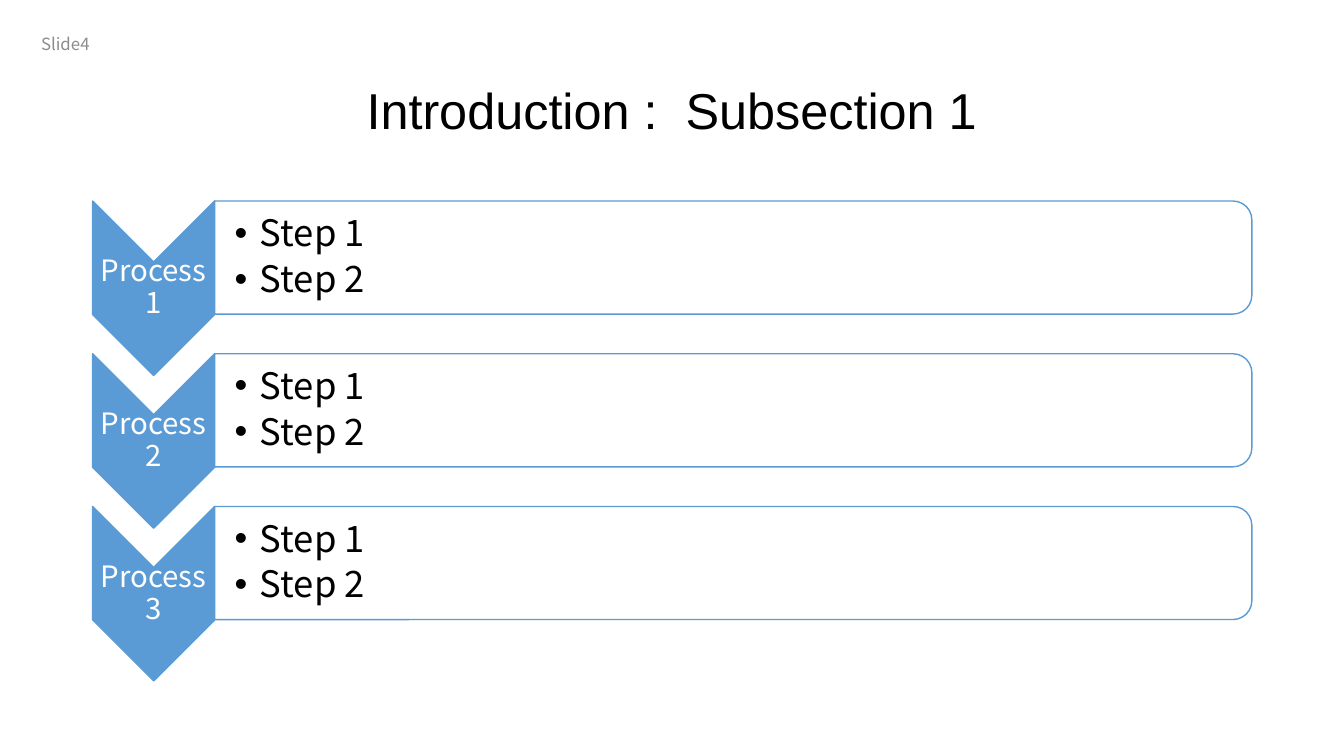
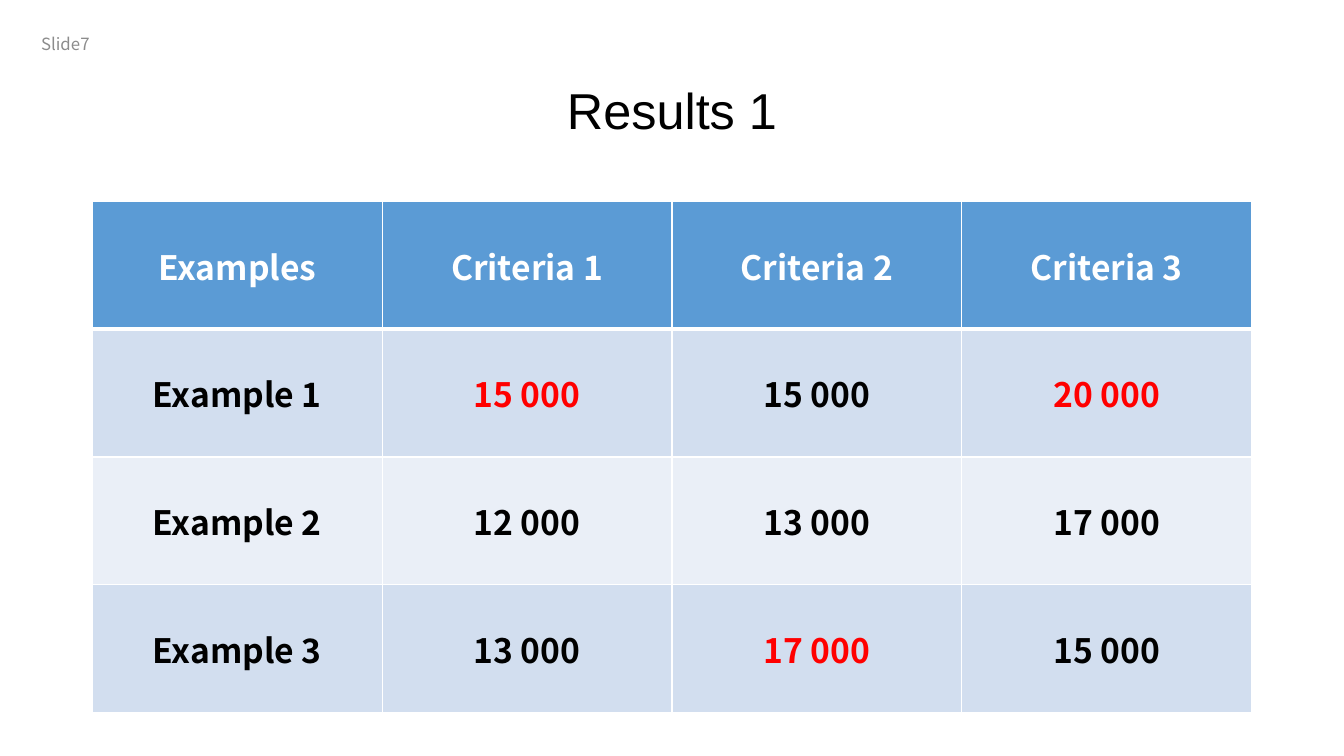
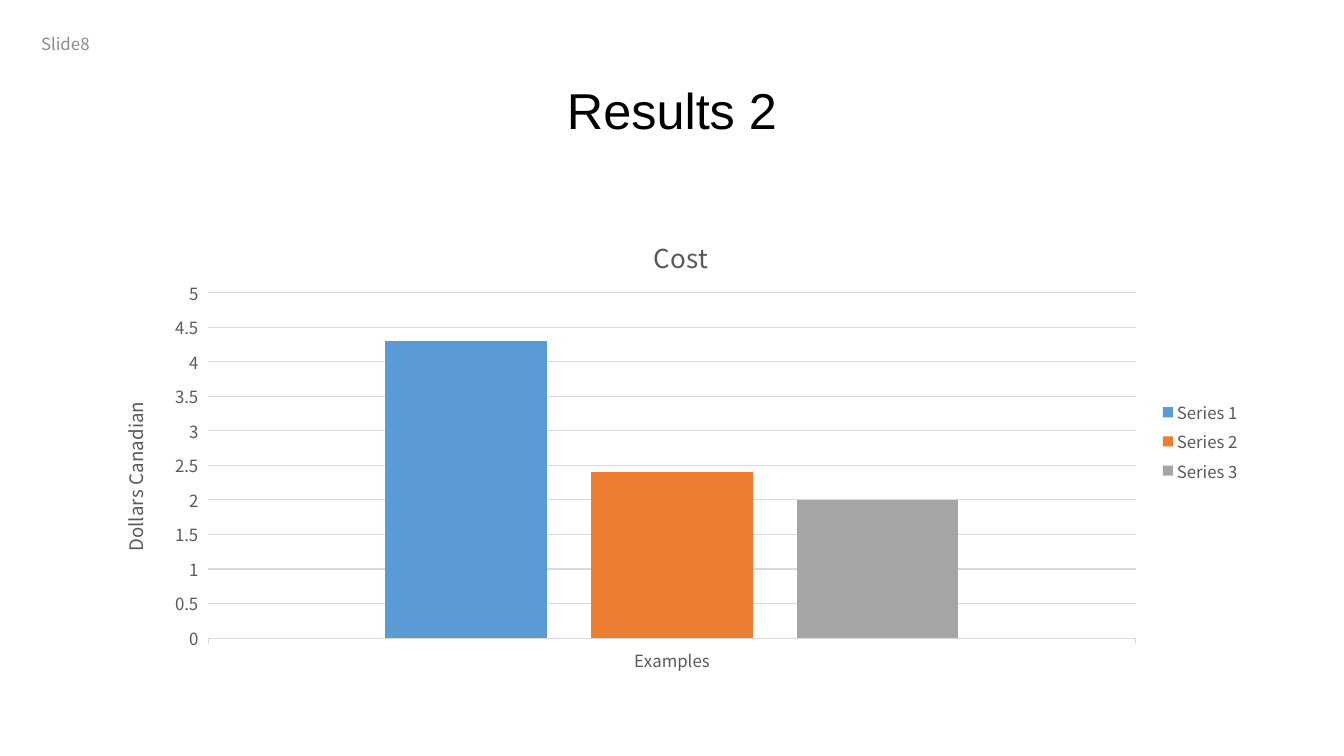
from dataclasses import dataclass

from lxml import etree
from pptx import Presentation
from pptx.chart.data import CategoryChartData
from pptx.dml.color import RGBColor
from pptx.enum.chart import XL_CHART_TYPE, XL_LEGEND_POSITION, XL_TICK_MARK
from pptx.enum.shapes import MSO_SHAPE
from pptx.enum.text import MSO_ANCHOR, MSO_AUTO_SIZE, PP_ALIGN
from pptx.oxml.ns import qn
from pptx.util import Pt

CHEVRON = MSO_SHAPE.CHEVRON
ROUND_TOP = MSO_SHAPE.ROUND_2_SAME_RECTANGLE
LEFT, CENTER = PP_ALIGN.LEFT, PP_ALIGN.CENTER
TOP, MIDDLE = MSO_ANCHOR.TOP, MSO_ANCHOR.MIDDLE
NO_FIT = MSO_AUTO_SIZE.NONE
COLUMNS = XL_CHART_TYPE.COLUMN_CLUSTERED
LEGEND_RIGHT = XL_LEGEND_POSITION.RIGHT
TICK_OUT = XL_TICK_MARK.OUTSIDE


@dataclass(frozen=True)
class Theme:
    """Colours, fonts and type sizes of the deck."""
    heading: str = "Arial"
    body: str = "Noto Sans CJK SC"
    black: str = "000000"
    white: str = "FFFFFF"
    grey: str = "8C8C8C"
    blue: str = "5B9BD5"
    red: str = "FF0000"
    bands: tuple = ("D2DEEF", "EAEFF7")
    series: tuple = ("5B9BD5", "ED7D31", "A5A5A5")
    chart_text: str = "595959"
    chart_line: str = "D9D9D9"
    title_size: float = 36
    label_size: float = 21
    step_size: float = 26
    table_size: float = 24
    small_size: float = 12
    chart_title_size: float = 18.6
    axis_title_size: float = 13.3


def apply(target, formats):
    """Set each attribute in formats on target."""
    for name, value in formats.items():
        setattr(target, name, value)


def style_font(font, name, size, color, bold=False):
    """Give a font its face, size, colour and weight."""
    apply(font, {"name": name, "size": Pt(size), "bold": bold})
    font.color.rgb = RGBColor.from_string(color)


def paint(fill, color):
    """Make a fill solid."""
    fill.solid()
    fill.fore_color.rgb = RGBColor.from_string(color)


def draw_line(line, color, width):
    """Give a line its colour and width."""
    paint(line.fill, color)
    line.width = Pt(width)


def place(parent, **fractions):
    """Fix the place of a chart part as fractions of the chart."""
    for old in parent.findall(qn("c:layout")):
        parent.remove(old)
    layout = etree.Element(qn("c:layout"))
    manual = etree.SubElement(layout, qn("c:manualLayout"))
    if "w" in fractions:
        etree.SubElement(manual, qn("c:layoutTarget")).set("val", "inner")
    for axis in "xy":
        etree.SubElement(manual, qn(f"c:{axis}Mode")).set("val", "edge")
    for name, value in fractions.items():
        etree.SubElement(manual, qn(f"c:{name}")).set("val", str(value))
    parent.insert(len(parent.findall(qn("c:tx"))), layout)


class Deck:
    """Builds pages in one style."""

    def __init__(self, theme):
        """Start an empty widescreen deck."""
        self.theme = theme
        self.deck = Presentation()
        apply(self.deck, {"slide_width": Pt(960), "slide_height": Pt(540)})
        self.page = None

    def add_page(self, number, title):
        """Add a page with its title and page mark."""
        theme = self.theme
        self.page = self.deck.slides.add_slide(self.deck.slide_layouts[5])
        box = self.page.shapes.title
        apply(box, {"left": Pt(66), "top": Pt(28.8),
                    "width": Pt(828), "height": Pt(104.4)})
        self.fill_text(box.text_frame, [title], theme.heading, theme.title_size,
                       theme.black, align=CENTER, line_spacing=0.9)
        mark = (theme.body, theme.small_size, theme.grey)
        self.add_text(22.3, 20.2, 64, 21.6, ["Slide"], *mark, anchor=TOP)
        self.add_text(50.4, 16.6, 56.9, 28.8, [str(number)], *mark)

    def fill_text(self, frame, lines, font, size, color, align=LEFT,
                  anchor=MIDDLE, inset=(7.2, 3.6), line_spacing=1.0, after=0):
        """Write lines as paragraphs; inset is left, then the other sides."""
        side, rest = inset
        right = side if inset == (7.2, 3.6) else rest
        apply(frame, {"word_wrap": True, "auto_size": NO_FIT,
                      "vertical_anchor": anchor,
                      "margin_left": Pt(side), "margin_right": Pt(right),
                      "margin_top": Pt(rest), "margin_bottom": Pt(rest)})
        for index, line in enumerate(lines):
            para = frame.add_paragraph() if index else frame.paragraphs[0]
            apply(para, {"alignment": align, "line_spacing": line_spacing,
                         "space_before": Pt(0), "space_after": Pt(after)})
            span = para.add_run()
            span.text = line
            style_font(span.font, font, size, color)

    def add_text(self, left, top, width, height, lines, *style, **options):
        """Add a text box."""
        box = self.page.shapes.add_textbox(Pt(left), Pt(top), Pt(width), Pt(height))
        self.fill_text(box.text_frame, lines, *style, **options)
        return box

    def add_bullets(self, left, top, width, height, lines, *style, **options):
        """Add a text box with bulleted paragraphs."""
        box = self.add_text(left, top, width, height, lines, *style, **options)
        for para in box.text_frame.paragraphs:
            format_node = para._p.get_or_add_pPr()
            format_node.set("marL", str(Pt(18)))
            format_node.set("indent", str(Pt(-18)))
            etree.SubElement(format_node, qn("a:buFont")).set("typeface", "Arial")
            etree.SubElement(format_node, qn("a:buChar")).set("char", "•")

    def add_turned(self, kind, left, top, width, height, fill):
        """Add a shape turned a quarter clockwise to cover the given area."""
        shape = self.page.shapes.add_shape(
            kind, Pt(left + (width - height) / 2), Pt(top + (height - width) / 2),
            Pt(height), Pt(width))
        shape.rotation = 90
        shape.shadow.inherit = False
        paint(shape.fill, fill)
        draw_line(shape.line, self.theme.blue, 1)

    def add_process(self, top, label, steps):
        """Add a chevron with its label and a panel of steps."""
        theme = self.theme
        self.add_turned(CHEVRON, 66.2, top, 87.1, 124.6, theme.blue)
        self.add_text(66.2, top + 43.5, 87.1, 37.5, [label], theme.body,
                      theme.label_size, theme.white, align=CENTER,
                      inset=(0.9, 0.9), line_spacing=0.9, after=8.8)
        self.add_turned(ROUND_TOP, 153.3, top, 740.9, 80.8, theme.white)
        self.add_bullets(153.3, top + 4, 737, 73, steps, theme.body,
                         theme.step_size, theme.black, inset=(14.4, 1.3),
                         line_spacing=0.9, after=4.7)

    def add_borders(self, cell, top, bottom):
        """Draw the four white borders of a cell."""
        widths = {"lnL": 1, "lnR": 1, "lnT": top, "lnB": bottom}
        for name, width in widths.items():
            border = etree.SubElement(cell._tc.get_or_add_tcPr(), qn(f"a:{name}"))
            border.set("w", str(Pt(width)))
            fill = etree.SubElement(border, qn("a:solidFill"))
            etree.SubElement(fill, qn("a:srgbClr")).set("val", self.theme.white)

    def add_table(self, left, top, width, height, rows):
        """Add a table that marks the highest value of each column."""
        theme = self.theme
        table = self.page.shapes.add_table(
            len(rows), len(rows[0]), Pt(left), Pt(top), Pt(width), Pt(height)).table
        table.horz_banding = False
        highest = [max(column[1:]) for column in zip(*rows)]
        for r, row in enumerate(rows):
            for c, text in enumerate(row):
                cell = table.cell(r, c)
                self.add_borders(cell, 3 if r == 1 else 1, 3 if r == 0 else 1)
                paint(cell.fill, theme.bands[(r - 1) % 2] if r else theme.blue)
                cell.vertical_anchor = MIDDLE
                para = cell.text_frame.paragraphs[0]
                para.alignment = CENTER
                span = para.add_run()
                span.text = text
                color = theme.black if r else theme.white
                if r and c and text == highest[c]:
                    color = theme.red
                style_font(span.font, theme.body, theme.table_size, color, True)

    def add_chart_title(self, owner, title, text, size, x, y):
        """Write and place a title of the chart or of an axis."""
        owner.has_title = True
        title = getattr(owner, title)
        span = title.text_frame.paragraphs[0].add_run()
        span.text = text
        style_font(span.font, self.theme.body, size, self.theme.chart_text)
        place(title.element, x=x, y=y)
        return title

    def add_columns(self, left, top, width, height, categories, series):
        """Add a column chart with titles and a legend."""
        theme = self.theme
        data = CategoryChartData()
        data.categories = categories
        for name, values in series.items():
            data.add_series(name, values)
        chart = self.page.shapes.add_chart(
            COLUMNS, Pt(left), Pt(top), Pt(width), Pt(height), data).chart
        style_font(chart.font, theme.body, theme.small_size, theme.chart_text)
        plot = chart.plots[0]
        apply(plot, {"gap_width": 219, "overlap": -27, "vary_by_categories": False})
        for item, color in zip(plot.series, theme.series):
            paint(item.format.fill, color)
        chart.has_legend = True
        apply(chart.legend, {"position": LEGEND_RIGHT, "include_in_layout": False})
        value_axis = chart.value_axis
        apply(value_axis, {"minimum_scale": 0, "maximum_scale": 5,
                           "major_unit": 0.5, "major_tick_mark": TICK_OUT})
        value_axis.format.line.fill.background()
        draw_line(value_axis.major_gridlines.format.line, theme.chart_line, 0.75)
        chart.category_axis.major_tick_mark = TICK_OUT
        draw_line(chart.category_axis.format.line, theme.chart_line, 0.75)
        self.add_chart_title(chart, "chart_title", "Cost",
                             theme.chart_title_size, 0.48, 0.06)
        title = self.add_chart_title(value_axis, "axis_title", "Dollars Canadian",
                                     theme.axis_title_size, 0.02, 0.41)
        for body in title.element.iter(qn("a:bodyPr")):
            body.set("rot", "-5400000")
            body.set("vert", "horz")
        place(chart.element.find(".//" + qn("c:plotArea")),
              x=0.1, y=0.19, w=0.8, h=0.72)


def main():
    """Build and save the deck."""
    deck = Deck(Theme())

    deck.add_page(4, "Introduction :  Subsection 1")
    for index in range(3):
        deck.add_process(143.6 + 109.1 * index, f"Process {index + 1}",
                         ["Step 1", "Step 2"])

    deck.add_page(7, "Results 1")
    deck.add_table(66, 144, 828, 365, [
        ["Examples", "Criteria 1", "Criteria 2", "Criteria 3"],
        ["Example 1", "15 000", "15 000", "20 000"],
        ["Example 2", "12 000", "13 000", "17 000"],
        ["Example 3", "13 000", "17 000", "15 000"],
    ])

    deck.add_page(8, "Results 2")
    deck.add_columns(66, 144, 828, 342.7, ["Examples"],
                     {"Series 1": [4.3], "Series 2": [2.4], "Series 3": [2]})

    deck.deck.save("out.pptx")


main()
